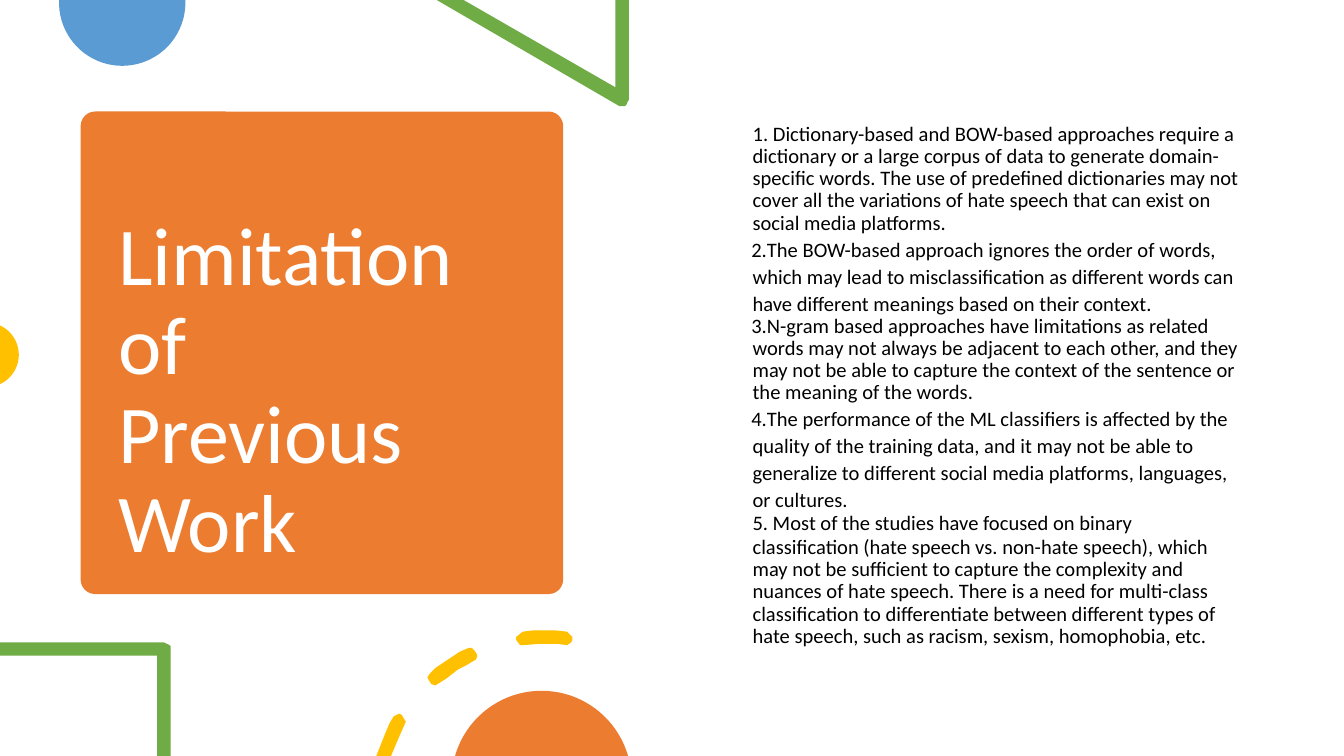
import math
import pptx
import pptx.util
import pptx.dml.color
import pptx.enum.shapes
import pptx.enum.text
import pptx.oxml

Inches, Pt = pptx.util.Inches, pptx.util.Pt

WIDE = 10
HIGH = WIDE * 9 / 16

THEME = dict(font="Calibri", head=44, body=11, white="FFFFFF", black="000000",
             orange="EC7C30", blue="5B9BD4", green="6FAC46", gold="FFC000")

HEAD = "Limitation of Previous Work"
FIRST = ("1. Dictionary-based and BOW-based approaches require a dictionary or a large "
         "corpus of data to generate domain- specific words. The use of predefined "
         "dictionaries may not cover all the variations of hate speech that can exist on "
         "social media platforms.")

# text, line spacing, space before, left margin, indent, numbered
POINTS = [
    ("The BOW-based approach ignores the order of words, which may lead to "
     "misclassification as different words can have different meanings based on "
     "their context.", 1.09, 0, 0.01, -0.08, True),
    ("N-gram based approaches have limitations as related words may not always be "
     "adjacent to each other, and they may not be able to capture the context of the "
     "sentence or the meaning of the words.", 0.89, 0.1, 0.01, -0.08, True),
    ("The performance of the ML classifiers is affected by the quality of the training "
     "data, and it may not be able to generalize to different social media platforms, "
     "languages, or cultures.", 1.09, 0.2, 0.01, -0.08, True),
    ("Most of the studies have focused on binary", 0.96, 0, 0.16, -0.15, True),
    ("classification (hate speech vs. non-hate speech), which may not be sufficient to "
     "capture the complexity and nuances of hate speech. There is a need for multi-class "
     "classification to differentiate between different types of hate speech, such as "
     "racism, sexism, homophobia, etc.", 0.91, 0.6, 0.01, 0, False),
]

TRIANGLE = [(4.68, 0), (4.58, 0), (4.58, 0.65), (3.45, 0), (3.25, 0), (4.61, 0.79),
            (4.63, 0.79), (4.65, 0.79), (4.66, 0.78), (4.67, 0.76), (4.68, 0.74)]
CORNER = [(0, 4.78), (0, 4.88), (1.17, 4.88), (1.17, HIGH), (1.27, HIGH), (1.27, 4.83),
          (1.27, 4.81), (1.26, 4.8), (1.24, 4.79), (1.22, 4.78)]
DASHES = [
    [(2.97, 5.31), (2.93, 5.33), (2.9, 5.38), (2.87, 5.45), (2.8, HIGH), (2.91, HIGH),
     (2.95, 5.53), (2.98, 5.46), (3.02, 5.37), (2.99, 5.32)],
    [(3.49, 4.82), (3.42, 4.85), (3.33, 4.91), (3.24, 4.97), (3.2, 5.01), (3.18, 5.04),
     (3.19, 5.06), (3.21, 5.09), (3.24, 5.1), (3.32, 5.05), (3.41, 4.98), (3.47, 4.95),
     (3.52, 4.92), (3.54, 4.91), (3.55, 4.89), (3.55, 4.87), (3.53, 4.84), (3.51, 4.82)],
    [(4.05, 4.69), (3.97, 4.69), (3.89, 4.7), (3.84, 4.74), (3.84, 4.76), (3.87, 4.8),
     (3.9, 4.8), (4.02, 4.79), (4.14, 4.79), (4.22, 4.8), (4.25, 4.78), (4.26, 4.76),
     (4.26, 4.74), (4.22, 4.7), (4.13, 4.69)],
]


def arc(x, y, radius, middle, half, steps=40):
    """Points of a circle cut off by the slide edge."""
    turns = [math.radians(middle - half + 2 * half * i / steps) for i in range(steps + 1)]
    return [(x + radius * math.cos(t), y + radius * math.sin(t)) for t in turns]


def color(name):
    return pptx.dml.color.RGBColor.from_string(THEME[name])


def paint(shape, name):
    shape.shadow.inherit = False
    shape.fill.solid()
    shape.fill.fore_color.rgb = color(name)
    shape.line.fill.background()


def outline(shapes, parts, name):
    parts = [[(Inches(x), Inches(y)) for x, y in part] for part in parts]
    pen = shapes.build_freeform(*parts[0][0], scale=1.0)
    for i, part in enumerate(parts):
        if i:
            pen.move_to(*part[0])
        pen.add_line_segments(part[1:], close=True)
    paint(pen.convert_to_shape(), name)


def place(shape, box, top):
    shape.left, shape.top, shape.width, shape.height = map(Inches, box)
    frame = shape.text_frame
    frame.word_wrap = True
    frame.auto_size = pptx.enum.text.MSO_AUTO_SIZE.NONE
    frame.vertical_anchor = pptx.enum.text.MSO_ANCHOR.TOP
    frame.margin_left = frame.margin_right = frame.margin_bottom = 0
    frame.margin_top = Inches(top)
    return frame


def style(para, size, name, spacing, before=0, left=0.01, indent=0):
    para.alignment = pptx.enum.text.PP_ALIGN.LEFT
    para.line_spacing = spacing
    para.space_before = Pt(before)
    props = para._p.get_or_add_pPr()
    props.set("marL", str(Inches(left)))
    props.set("indent", str(Inches(indent)))
    for run in para.runs:
        run.font.name = THEME["font"]
        run.font.size = Pt(THEME[size])
        run.font.color.rgb = color(name)


def number(para, start):
    mark = ('<a:buAutoNum xmlns:a="http://schemas.openxmlformats.org/drawingml/2006/main" '
            f'type="arabicPeriod" startAt="{start}"/>')
    para._p.get_or_add_pPr().append(pptx.oxml.parse_xml(mark))


def main():
    deck = pptx.Presentation()
    deck.slide_width, deck.slide_height = Inches(WIDE), Inches(HIGH)
    slide = deck.slides.add_slide(deck.slide_layouts[5])
    shapes = slide.shapes

    # Heading card
    card = shapes.add_shape(pptx.enum.shapes.MSO_SHAPE.ROUNDED_RECTANGLE,
                            *map(Inches, (0.6, 0.83, 3.59, 3.59)))
    card.adjustments[0] = 0.03
    paint(card, "orange")
    frame = place(shapes.add_textbox(0, 0, 0, 0), (0.87, 1.51, 2.76, 2.09), 0.09)
    frame.text = HEAD
    style(frame.paragraphs[0], "head", "white", 0.9)

    # Decorations along the edges
    outline(shapes, [arc(0.91, 0.02, 0.47, 90, 92.4)], "blue")
    outline(shapes, [TRIANGLE], "green")
    outline(shapes, [arc(-0.1, 2.64, 0.24, 0, 65.4)], "gold")
    outline(shapes, [CORNER], "green")
    outline(shapes, DASHES, "gold")
    outline(shapes, [arc(4.03, 5.81, 0.67, 270, 74)], "orange")

    # First limitation, in the title placeholder
    frame = place(shapes.title, (5.59, 0.88, 3.64, 0.87), 0.04)
    frame.text = FIRST
    style(frame.paragraphs[0], "body", "black", 0.9)

    # Remaining limitations, numbered from 2
    frame = place(shapes.add_textbox(0, 0, 0, 0), (5.59, 1.71, 3.63, 2.87), 0.04)
    frame.text = "\n".join(point[0] for point in POINTS)
    for para, (_, spacing, before, left, indent, listed) in zip(frame.paragraphs, POINTS):
        style(para, "body", "black", spacing, before, left, indent)
        if listed:
            number(para, 2)

    deck.save("out.pptx")


if __name__ == "__main__":
    main()
